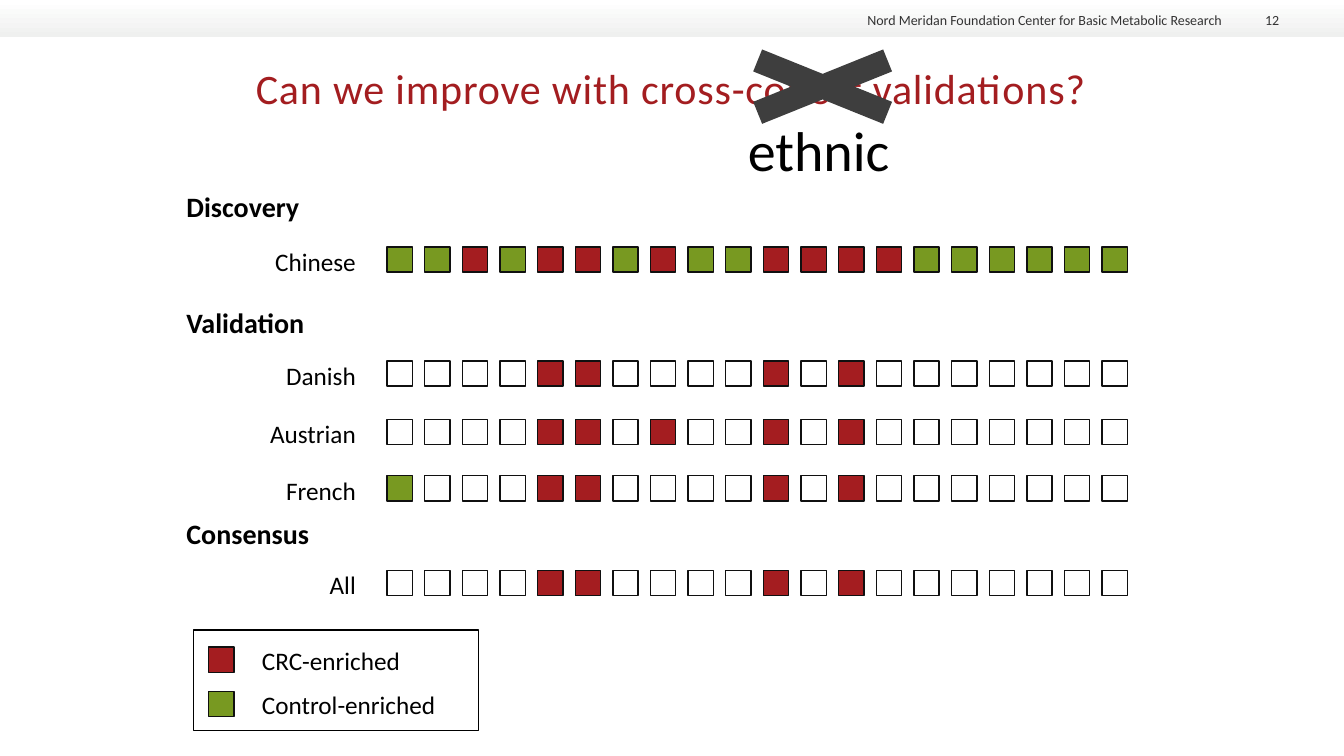
import pptx
import pptx.util
import pptx.dml.color
import pptx.enum.shapes
import pptx.enum.text

SHAPE = pptx.enum.shapes.MSO_SHAPE
ALIGN = pptx.enum.text.PP_ALIGN
ANCHOR = pptx.enum.text.MSO_ANCHOR

RED, GREEN, WHITE = "A41D20", "789921", "FFFFFF"
FILLS = {"R": RED, "G": GREEN, ".": WHITE}

# Shares are percentages of the slide's width (x) and height (y).
FIRST_COLUMN, COLUMN_STEP = 28.8, 2.8
SQUARE = (1.88, 3.33)

SECTIONS = [("Discovery", 24.4), ("Validation", 39.73), ("Consensus", 67.73)]
COHORTS = [
    ("Chinese", 32.67, "GGRGRRGRGGRRRRGGGGGG"),
    ("Danish", 47.73, "....RR....R.R......."),
    ("Austrian", 55.47, "....RR.R..R.R......."),
    ("French", 62.93, "G...RR....R.R......."),
    ("All", 75.47, "....RR....R.R......."),
]
LEGEND = [("CRC-enriched", RED, 85.6), ("Control-enriched", GREEN, 91.47)]
HEADER = [
    ("Nord Meridan Foundation Center for Basic Metabolic Research", 33.68, 57.22),
    ("12", 92.02, 3.15),
]


def color(hex_string):
    return pptx.dml.color.RGBColor.from_string(hex_string)


class SlideBuilder:
    font_name = "Calibri"

    def __init__(self, deck):
        self.deck = deck
        self.page = deck.slides.add_slide(deck.slide_layouts[5])

    def area(self, left, top, width, height):
        """Turn percentages of the slide into lengths."""
        across, down = self.deck.slide_width / 100, self.deck.slide_height / 100
        return [round(left * across), round(top * down),
                round(width * across), round(height * down)]

    def set_text(self, frame, text, size, ink="000000", bold=False,
                 align=ALIGN.LEFT, **frame_format):
        for name, value in {"word_wrap": True, **frame_format}.items():
            setattr(frame, name, value)
        para = frame.paragraphs[0]
        para.alignment = align
        span = para.add_run()
        span.text = text
        font_format = {"name": self.font_name, "size": pptx.util.Pt(size), "bold": bold}
        for name, value in font_format.items():
            setattr(span.font, name, value)
        span.font.color.rgb = color(ink)
        return span

    def title(self, text, share):
        box = self.page.shapes.title
        box.left, box.top, box.width, box.height = self.area(*share)
        span = self.set_text(box.text_frame, text, 30, "A31D20", align=ALIGN.CENTER,
                             vertical_anchor=ANCHOR.MIDDLE, margin_left=0,
                             margin_right=0, margin_top=0, margin_bottom=0)
        span.font._element.set("spc", "60")

    def text(self, text, share, size, **style):
        box = self.page.shapes.add_textbox(*self.area(*share))
        self.set_text(box.text_frame, text, size, **style)

    def shape(self, kind, share, fill=None, line=None):
        shape = self.page.shapes.add_shape(kind, *self.area(*share))
        shape.shadow.inherit = False
        if fill:
            shape.fill.solid()
            shape.fill.fore_color.rgb = color(fill)
        else:
            shape.fill.background()
        if line:
            shape.line.color.rgb = color(line)
            shape.line.width = pptx.util.Pt(1)
        else:
            shape.line.fill.background()
        return shape

    def square(self, left, top, fill):
        self.shape(SHAPE.RECTANGLE, (left, top, *SQUARE), fill, "101010")

    def header_band(self, share, start, end):
        band = self.shape(SHAPE.RECTANGLE, share)
        band.fill.gradient()
        band.fill.gradient_angle = 270
        for stop, tone in zip(band.fill.gradient_stops, (start, end)):
            stop.color.rgb = color(tone)

    def cohort(self, name, top, pattern):
        """Draw one labelled row of squares, one letter of the pattern each."""
        for column, mark in enumerate(pattern):
            self.square(FIRST_COLUMN + column * COLUMN_STEP, top, FILLS[mark])
        self.text(name, (18.75, top - 0.1, 9, 4), 18, align=ALIGN.RIGHT,
                  vertical_anchor=ANCHOR.MIDDLE, margin_top=0, margin_bottom=0,
                  margin_right=pptx.util.Inches(0.17))


def main():
    deck = pptx.Presentation()
    deck.slide_width = pptx.util.Inches(13.33)
    deck.slide_height = pptx.util.Inches(7.5)
    slide = SlideBuilder(deck)

    slide.header_band((0, 0, 100, 4.9), WHITE, "EFF0EF")
    for text, left, width in HEADER:
        slide.text(text, (left, 1.2, width, 2.53), 10, ink="333333",
                   align=ALIGN.RIGHT, vertical_anchor=ANCHOR.BOTTOM,
                   margin_left=0, margin_right=0, margin_top=0, margin_bottom=0)

    slide.title("Can we improve with cross-cohort validations?", (4.8, 5.2, 90.32, 12.67))
    slide.shape(SHAPE.MATH_MULTIPLY, (51.91, 4.8, 18.6, 13.33), "3E3E3E")
    slide.text("ethnic", (54.91, 14.67, 12.83, 10.27), 40)

    for heading, top in SECTIONS:
        slide.text(heading, (13.13, top, 12, 5.87), 20, bold=True)
    for cohort in COHORTS:
        slide.cohort(*cohort)

    slide.shape(SHAPE.RECTANGLE, (14.4, 83.33, 21.23, 13.33), line="000000")
    for label, fill, top in LEGEND:
        slide.square(15.53, top, fill)
        slide.text(label, (18.75, top - 0.93, 15.68, 5.33), 18)

    deck.save("out.pptx")


if __name__ == "__main__":
    main()
